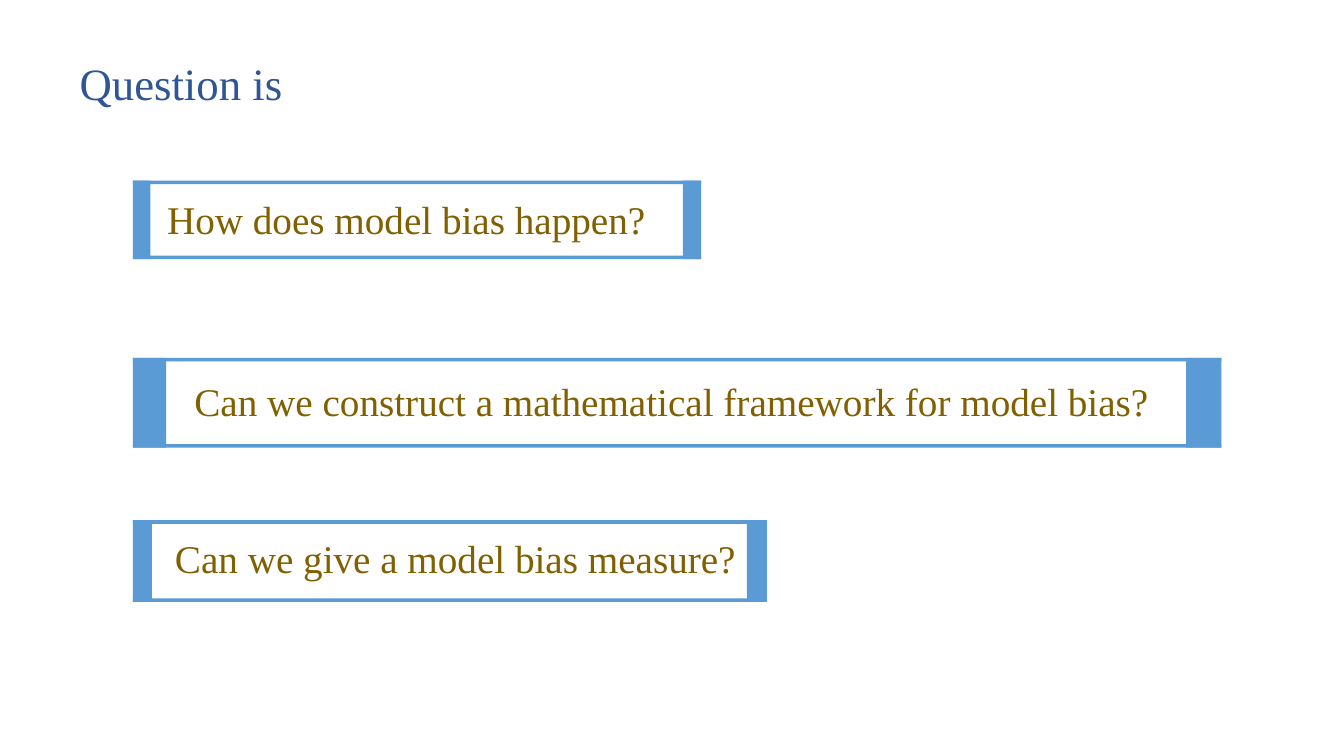
from dataclasses import dataclass
from pptx import Presentation
from pptx.dml.color import RGBColor as RGB
from pptx.enum.shapes import MSO_SHAPE as Shape
from pptx.enum.text import MSO_ANCHOR as Anchor, MSO_AUTO_SIZE as Fit, PP_ALIGN as Align
from pptx.util import Cm, Pt


@dataclass(frozen=True)
class Theme:
    face: str = "Times New Roman"
    blue: RGB = RGB(0x2F, 0x55, 0x97)
    gold: RGB = RGB(0x80, 0x60, 0x00)
    edge: RGB = RGB(0x5B, 0x9B, 0xD5)
    head: Pt = Pt(32)
    body: Pt = Pt(28)


THEME = Theme()
RULE = 0.09


def write(shape, text, size, color):
    frame = shape.text_frame
    style = {"word_wrap": True, "auto_size": Fit.NONE, "vertical_anchor": Anchor.TOP}
    for key, value in style.items():
        setattr(frame, key, value)
    frame.text = text
    line = frame.paragraphs[0]
    line.alignment = Align.LEFT
    for key, value in {"name": THEME.face, "size": size}.items():
        setattr(line.font, key, value)
    line.font.color.rgb = color


def title(slide, box, text):
    shape = slide.shapes.title
    for key, value in zip(("left", "top", "width", "height"), box):
        setattr(shape, key, Cm(value))
    write(shape, text, THEME.head, THEME.blue)


def panel(slide, box, sides, inset, text):
    x, y, w, h = box
    left, right = sides
    dx, dy, wide = inset
    group = slide.shapes.add_group_shape()
    bars = [
        (x, y, left, h),
        (x, y + h - RULE, w, RULE),
        (x + w - right, y, right, h),
        (x, y, w, RULE),
    ]
    for bar in bars:
        rect = group.shapes.add_shape(Shape.RECTANGLE, *map(Cm, bar))
        rect.shadow.inherit = False
        rect.fill.solid()
        rect.fill.fore_color.rgb = THEME.edge
        rect.line.fill.background()
    label = slide.shapes.add_textbox(*map(Cm, (x + dx, y + dy, wide, 1.45)))
    write(label, text, THEME.body, THEME.gold)


def main():
    deck = Presentation()
    deck.slide_width, deck.slide_height = Cm(33.87), Cm(19.05)
    slide = deck.slides.add_slide(deck.slide_layouts[5])
    title(slide, (1.75, 1.27, 31.27, 1.62), "Question is")
    asks = [
        (4.55, 14.32, 1.98, (0.44, 0.46), (0.61, 0.25, 12.67),
         "How does model bias happen?"),
        (9.02, 27.43, 2.26, (0.84, 0.89), (1.3, 0.36, 24.79),
         "Can we construct a mathematical framework for model bias?"),
        (13.11, 15.98, 2.06, (0.48, 0.51), (0.81, 0.23, 15.04),
         "Can we give a model bias measure?"),
    ]
    for top, wide, tall, sides, inset, text in asks:
        panel(slide, (3.35, top, wide, tall), sides, inset, text)
    deck.save("out.pptx")


if __name__ == "__main__":
    main()
